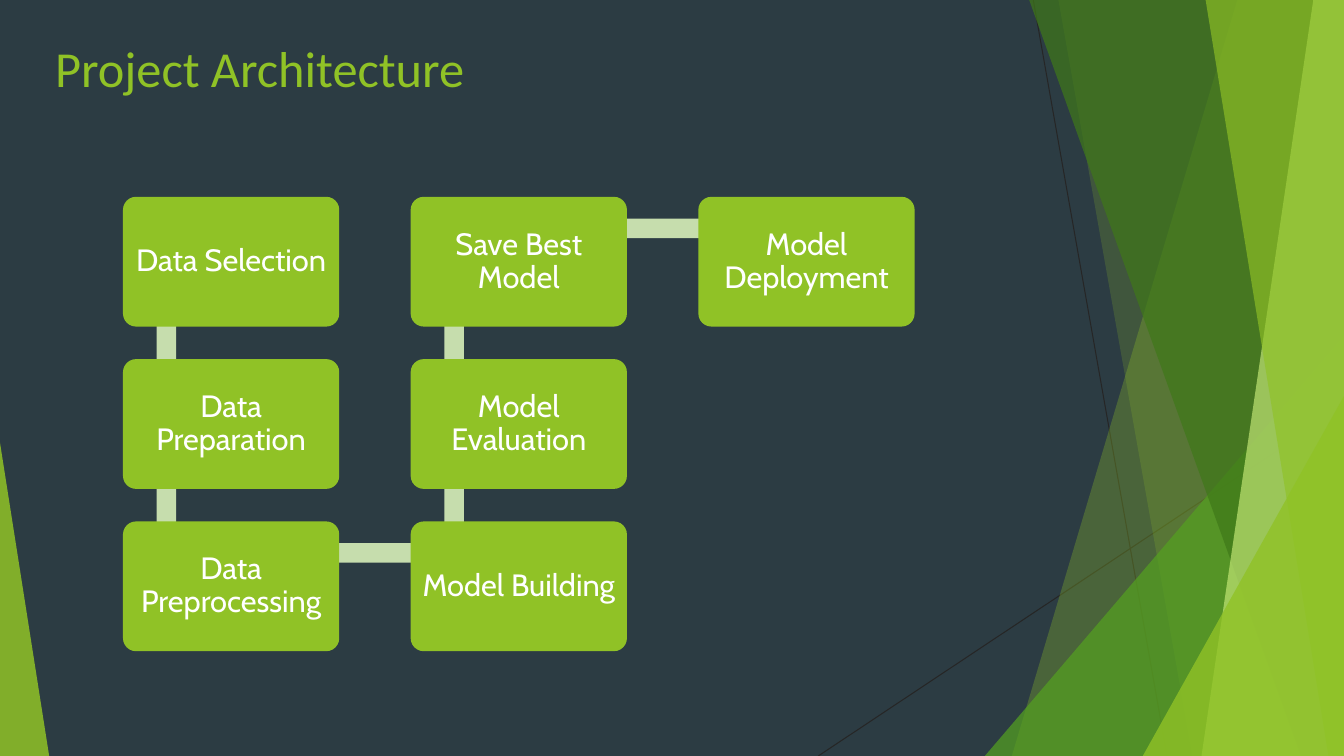
from lxml.etree import SubElement
from pptx import Presentation
from pptx.dml.color import RGBColor
from pptx.enum.shapes import MSO_CONNECTOR, MSO_SHAPE
from pptx.enum.text import MSO_ANCHOR, PP_ALIGN
from pptx.oxml.ns import qn
from pptx.util import Cm, Pt

WIDTH, HEIGHT = 33.87, 19.05
LIME, LEAF, FOREST, PALE, BAR = "90C226", "54A021", "3F7819", "C0E474", "C6DDAD"
BACKGROUND, INK, WHITE = "2C3C43", "262626", "FFFFFF"

LEFT, TOP = 3.1, 4.96
COLUMN_STEP, ROW_STEP = 7.25, 4.09
BOX_WIDTH, BOX_HEIGHT = 5.45, 3.27
BAR_THICKNESS = 0.49

STEPS = [
    ("Data Selection", 0, 0),
    ("Data Preparation", 0, 1),
    ("Data Preprocessing", 0, 2),
    ("Model Building", 1, 2),
    ("Model Evaluation", 1, 1),
    ("Save Best Model", 1, 0),
    ("Model Deployment", 2, 0),
]


def color(value):
    return RGBColor.from_string(value)


class SlideBuilder:
    title_font = "Calibri"
    step_font = "Cabin"

    def __init__(self, page):
        self.page = page
        fill = page.background.fill
        fill.solid()
        fill.fore_color.rgb = color(BACKGROUND)

    def paint(self, shape, fill, opacity=100):
        shape.shadow.inherit = False
        shape.fill.solid()
        shape.fill.fore_color.rgb = color(fill)
        shape.line.fill.background()
        if opacity < 100:
            tint = shape.fill._xPr.find(qn("a:solidFill"))[0]
            SubElement(tint, qn("a:alpha"), val=str(opacity * 1000))
        return shape

    def shape(self, kind, left, top, width, height, fill, opacity=100, adjustment=None):
        shape = self.page.shapes.add_shape(kind, Cm(left), Cm(top), Cm(width), Cm(height))
        if adjustment is not None:
            shape.adjustments[0] = adjustment
        return self.paint(shape, fill, opacity)

    def panel(self, top_x, bottom_x, fill, opacity):
        outline = self.page.shapes.build_freeform(Cm(top_x), Cm(-0.02))
        corners = [(WIDTH, -0.02), (WIDTH, HEIGHT), (bottom_x, HEIGHT)]
        outline.add_line_segments([(Cm(x), Cm(y)) for x, y in corners], close=True)
        self.paint(outline.convert_to_shape(), fill, opacity)

    def line(self, start_x, start_y, end_x, end_y):
        line = self.page.shapes.add_connector(
            MSO_CONNECTOR.STRAIGHT, Cm(start_x), Cm(start_y), Cm(end_x), Cm(end_y))
        line.line.color.rgb = color(INK)
        line.line.width = Pt(0.75)
        SubElement(line._element.spPr, qn("a:effectLst"))

    def span(self, para, text, font, size, fill):
        span = para.add_run()
        span.text = text
        span.font.name = font
        span.font.size = Pt(size)
        span.font.color.rgb = color(fill)

    def title(self, text):
        box = self.page.shapes.add_textbox(Cm(1.14), Cm(0.81), Cm(23.88), Cm(3.66))
        box.text_frame.word_wrap = True
        self.span(box.text_frame.paragraphs[0], text, self.title_font, 36, LIME)

    def step(self, text, left, top):
        box = self.shape(MSO_SHAPE.ROUNDED_RECTANGLE, left, top,
                         BOX_WIDTH, BOX_HEIGHT, LIME, adjustment=0.1)
        frame = box.text_frame
        frame.word_wrap = True
        frame.vertical_anchor = MSO_ANCHOR.MIDDLE
        frame.margin_left = frame.margin_right = Cm(0.2)
        para = frame.paragraphs[0]
        para.alignment = PP_ALIGN.CENTER
        para.line_spacing = 0.9
        self.span(para, text, self.step_font, 22, WHITE)

    def link(self, column, row, next_column, next_row):
        left = LEFT + column * COLUMN_STEP
        top = TOP + min(row, next_row) * ROW_STEP
        if column == next_column:
            self.shape(MSO_SHAPE.RECTANGLE, left + 0.85, top + 0.82,
                       BAR_THICKNESS, ROW_STEP, BAR)
        else:
            self.shape(MSO_SHAPE.RECTANGLE, left + 1.1, top + 0.55,
                       COLUMN_STEP, BAR_THICKNESS, BAR)


def draw_backdrop(slide):
    slide.line(26.04, 0, 29.41, HEIGHT)
    slide.line(WIDTH, 10.24, 20.62, HEIGHT)
    slide.panel(31.19, 25.5, LIME, 30)
    slide.panel(26.67, 30.05, LIME, 20)
    slide.shape(MSO_SHAPE.ISOSCELES_TRIANGLE, 24.82, 8.46, 9.05, 10.59, LEAF, 72, 1)
    slide.panel(25.93, 32.79, FOREST, 70)
    slide.panel(33.1, 30.28, PALE, 70)
    slide.panel(30.38, 33.48, LIME, 65)
    slide.shape(MSO_SHAPE.ISOSCELES_TRIANGLE, 28.8, 9.98, 5.07, 9.07, LIME, 80, 1)
    slide.shape(MSO_SHAPE.ISOSCELES_TRIANGLE, 0, 11.15, 1.24, 7.9, LIME, 85, 0)


def main():
    deck = Presentation()
    deck.slide_width, deck.slide_height = Cm(WIDTH), Cm(HEIGHT)
    slide = SlideBuilder(deck.slides.add_slide(deck.slide_layouts[6]))
    draw_backdrop(slide)
    slide.title("Project Architecture")
    for (_, column, row), (_, next_column, next_row) in zip(STEPS, STEPS[1:]):
        slide.link(column, row, next_column, next_row)
    for text, column, row in STEPS:
        slide.step(text, LEFT + column * COLUMN_STEP, TOP + row * ROW_STEP)
    deck.save("out.pptx")


if __name__ == "__main__":
    main()
